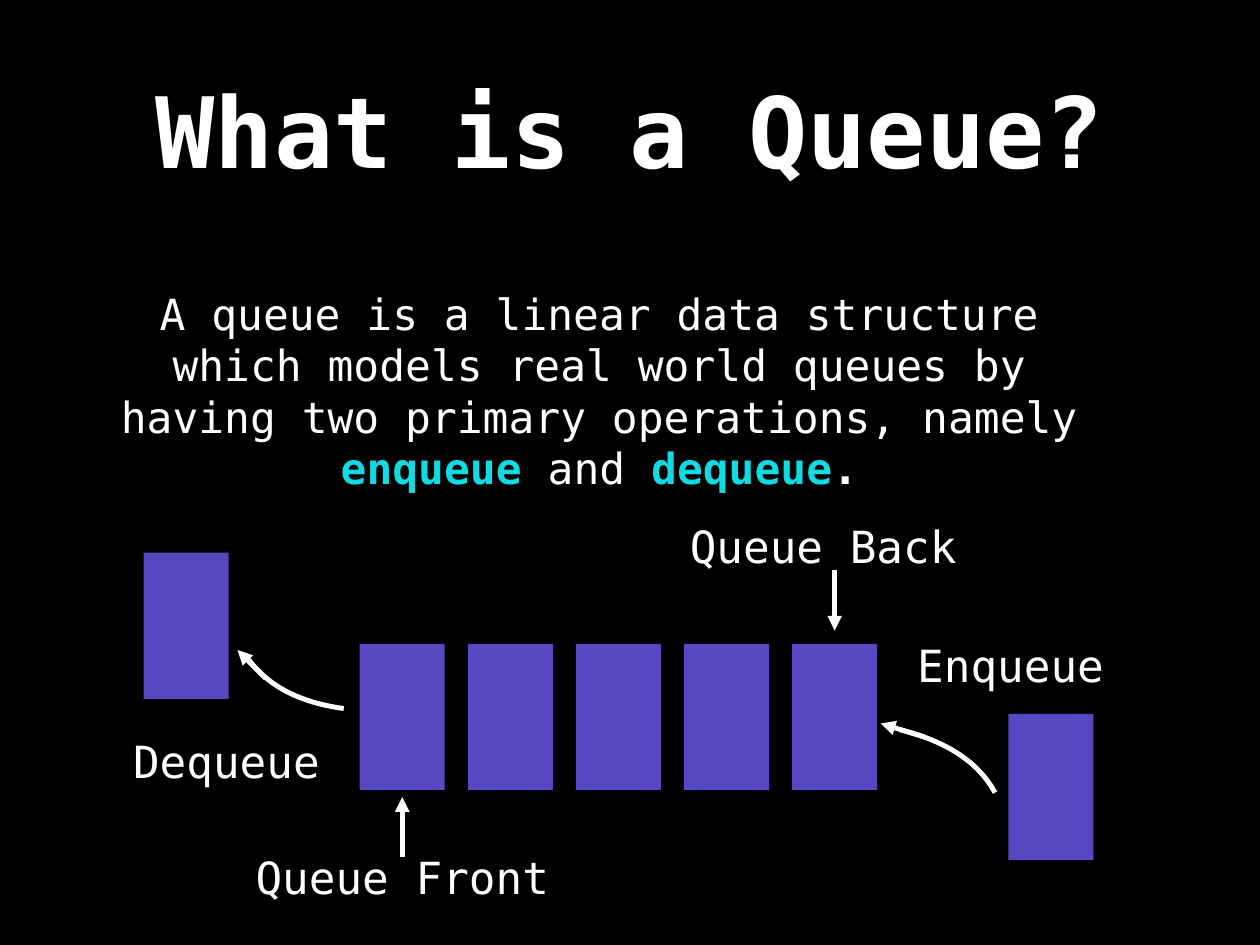
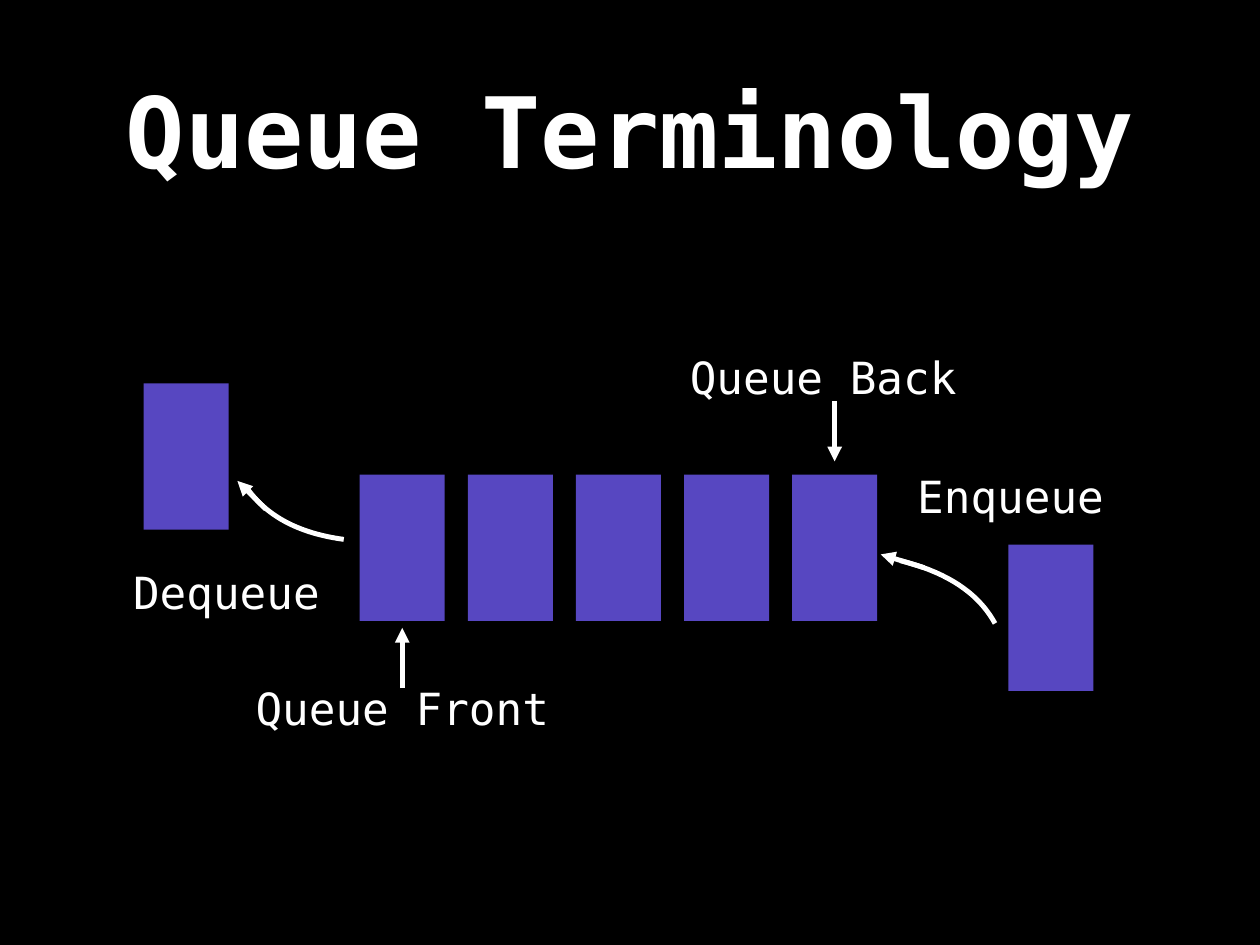
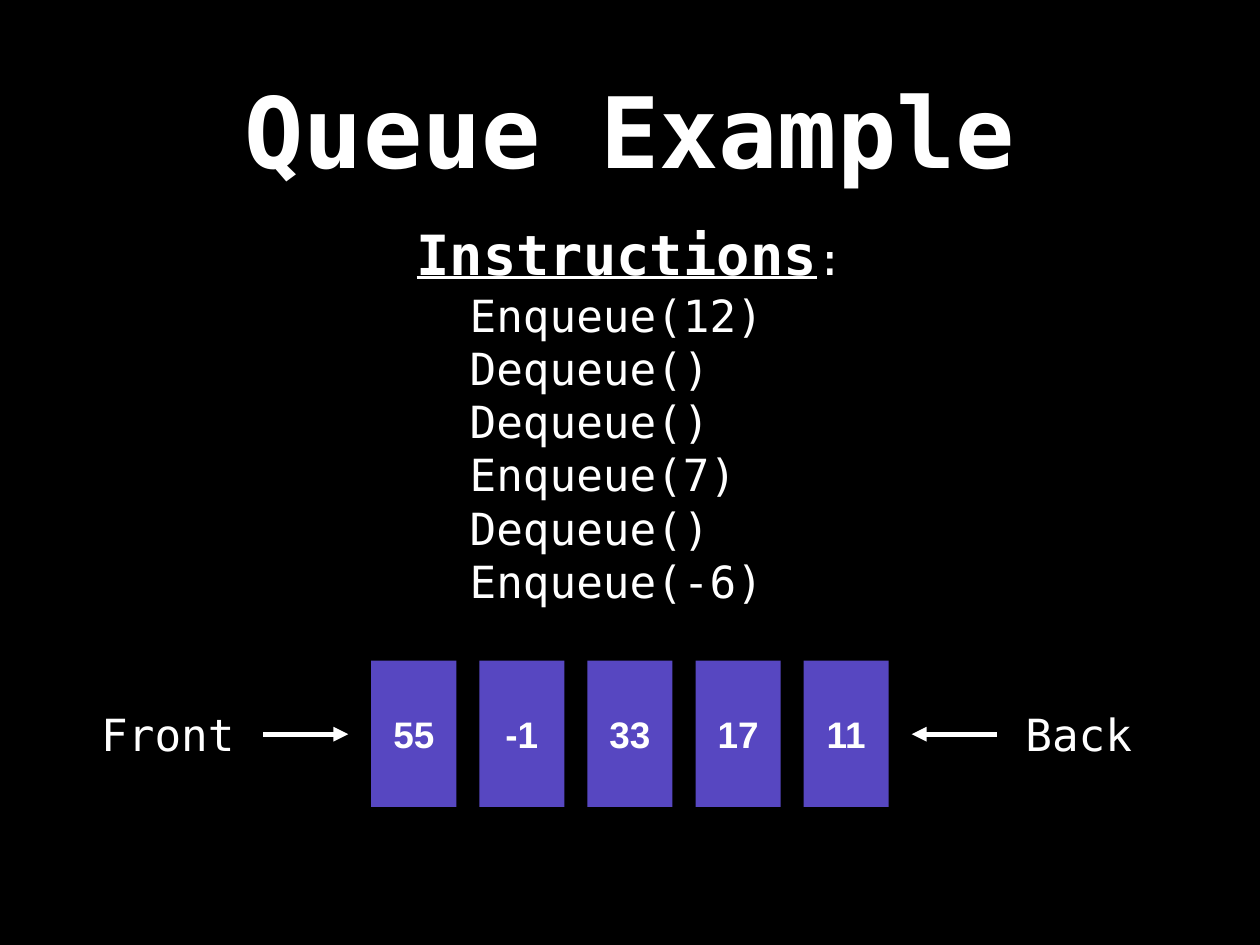
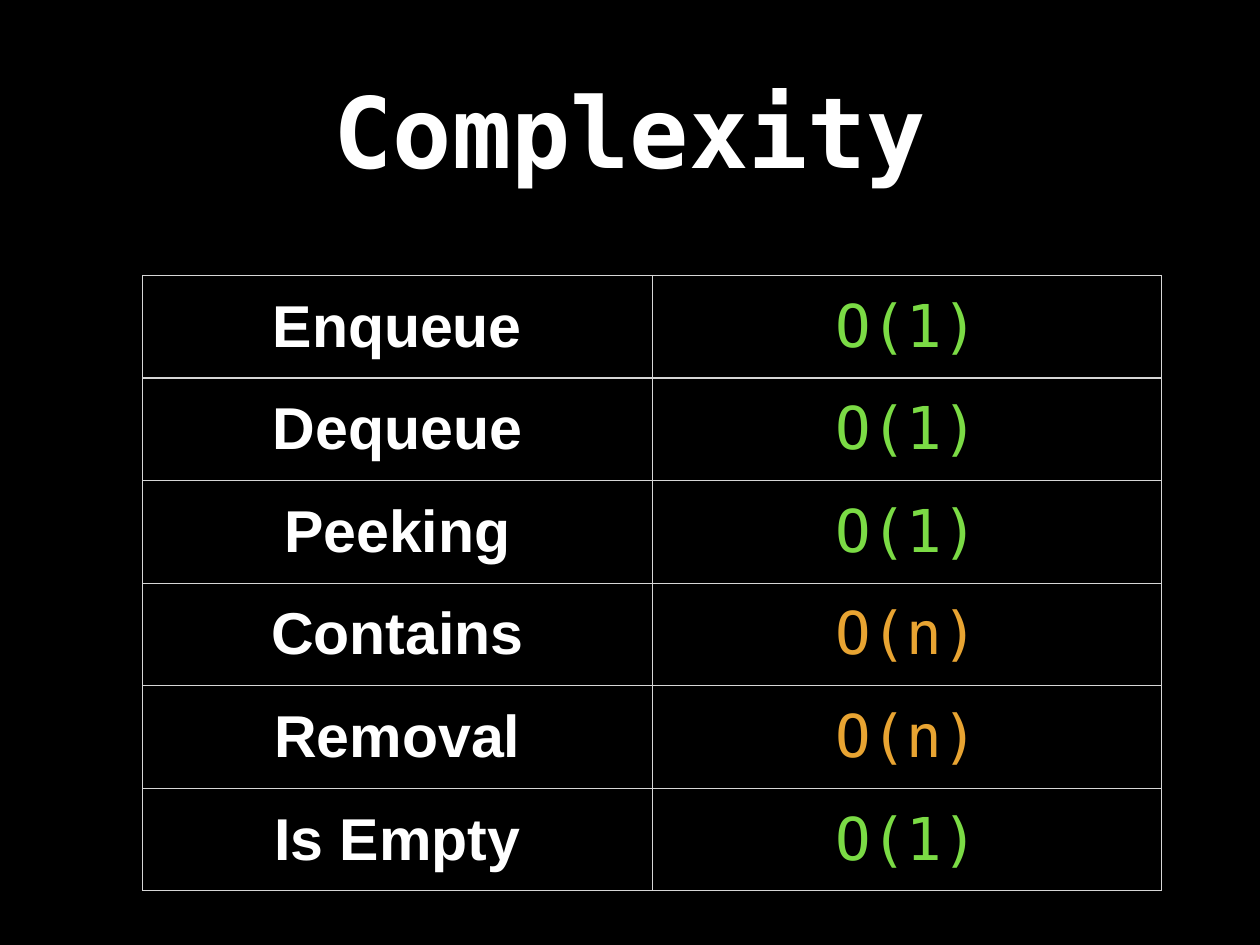
"""Build four slides that explain the queue data structure."""
import dataclasses

import lxml.etree
import pptx
import pptx.dml.color
import pptx.enum.shapes
import pptx.enum.text
import pptx.oxml.ns
import pptx.util

Inches = pptx.util.Inches
Pt = pptx.util.Pt
Anchor = pptx.enum.text.MSO_ANCHOR
Align = pptx.enum.text.PP_ALIGN
Fit = pptx.enum.text.MSO_AUTO_SIZE
MONO = "DejaVu Sans Mono"
SANS = "Arial"


@dataclasses.dataclass(frozen=True)
class Theme:
    """Colours, type sizes and measures that the slides share."""
    back: str = "000000"
    text: str = "FFFFFF"
    box: str = "5747C1"
    term: str = "11DBE2"
    fast: str = "7BDB45"
    slow: str = "E8A432"
    rule: str = "D6D6D6"
    title: float = 80
    cell: float = 48
    head: float = 45
    label: float = 36
    body: float = 34.9
    value: float = 30
    line: float = 4
    inset: float = 0.06
    wide: float = 0.96
    high: float = 1.65
    step: float = 1.22


THEME = Theme()


def color(code):
    """Turn a hex code into a colour."""
    return pptx.dml.color.RGBColor.from_string(code)


def look(size, name=MONO, tint=THEME.text, **more):
    """Return the format values of a run."""
    return {"name": name, "size": Pt(size), "tint": tint, "bold": False, **more}


def add(parent, tag, **attrs):
    """Append a drawing element to its parent."""
    return lxml.etree.SubElement(parent, pptx.oxml.ns.qn(tag), attrs)


def place(shape, left, top, width, height):
    """Move and size a shape in inches."""
    spots = {"left": left, "top": top, "width": width, "height": height}
    for name, value in spots.items():
        setattr(shape, name, Inches(value))


def write(frame, lines, align=Align.CENTER, wrap=True):
    """Fill a text frame with lines of (text, look) runs."""
    sides = ("margin_left", "margin_top", "margin_right", "margin_bottom")
    values = {side: Inches(THEME.inset) for side in sides}
    values |= {"word_wrap": wrap, "auto_size": Fit.NONE,
               "vertical_anchor": Anchor.MIDDLE}
    for name, value in values.items():
        setattr(frame, name, value)
    fill(frame, lines, align)


def fill(frame, lines, align=Align.CENTER):
    """Set the paragraphs of a text frame."""
    for index, runs in enumerate(lines):
        para = frame.add_paragraph() if index else frame.paragraphs[0]
        para.alignment = align
        para.space_before = Pt(0)
        props = para._p.get_or_add_pPr()
        props.set("marL", "0")
        props.set("indent", "0")
        add(props, "a:buNone")
        for text, style in runs:
            run = para.add_run()
            run.text = text
            for name, value in style.items():
                if name == "tint":
                    run.font.color.rgb = color(value)
                else:
                    setattr(run.font, name, value)


def start(deck, title, layout=5):
    """Add a slide with its title."""
    slide = deck.slides.add_slide(deck.slide_layouts[layout])
    place(slide.shapes.title, 1.04, 0.28, 12.14, 2.36)
    write(slide.shapes.title.text_frame,
          [[(title, look(THEME.title, bold=True))]])
    return slide


def body(slide, spot, lines, **more):
    """Move and fill the body placeholder."""
    shape = slide.placeholders[1]
    place(shape, *spot)
    write(shape.text_frame, lines, **more)


def label(slide, text, *spot):
    """Add a one-line caption."""
    shape = slide.shapes.add_textbox(*map(Inches, spot))
    write(shape.text_frame, [[(text, look(THEME.label))]], wrap=False)


def box(slide, left, top, text=""):
    """Add one queue item."""
    kind = pptx.enum.shapes.MSO_SHAPE.RECTANGLE
    spot = (left, top, THEME.wide, THEME.high)
    shape = slide.shapes.add_shape(kind, *map(Inches, spot))
    shape.shadow.inherit = False
    shape.fill.solid()
    shape.fill.fore_color.rgb = color(THEME.box)
    shape.line.fill.background()
    if text:
        write(shape.text_frame,
              [[(text, look(THEME.value, SANS, bold=True))]])


def row(slide, left, top, items):
    """Add an even row of queue items."""
    for index, text in enumerate(items):
        box(slide, left + index * THEME.step, top, text)


def stroke(shape):
    """Draw the outline of a shape in the shared line style."""
    shape.line.color.rgb = color(THEME.text)
    shape.line.width = Pt(THEME.line)


def arrow(slide, *ends):
    """Add a straight arrow between two points."""
    kind = pptx.enum.shapes.MSO_CONNECTOR.STRAIGHT
    shape = slide.shapes.add_connector(kind, *map(Inches, ends))
    stroke(shape)
    add(shape.line._get_or_add_ln(), "a:tailEnd", type="triangle")
    add(shape._element.spPr, "a:effectLst")


def curve(slide, knots, top, steps=24):
    """Add an open cubic curve through short segments."""
    dots = []
    for index in range(steps + 1):
        t = index / steps
        parts = ((1 - t) ** 3, 3 * t * (1 - t) ** 2,
                 3 * t ** 2 * (1 - t), t ** 3)
        x = sum(part * knot[0] for part, knot in zip(parts, knots))
        y = sum(part * knot[1] for part, knot in zip(parts, knots))
        dots.append((Inches(x), Inches(top + y)))
    pen = slide.shapes.build_freeform(*dots[0])
    pen.add_line_segments(dots[1:], close=False)
    shape = pen.convert_to_shape()
    shape.shadow.inherit = False
    shape.fill.background()
    stroke(shape)


def queue(slide, top):
    """Draw the queue diagram with its row of items at top."""
    row(slide, 4.06, top, [""] * 5)
    box(slide, 1.62, top - 1.03)
    box(slide, 11.38, top + 0.79)
    for text, left, drop, width in (
            ("Queue Front", 2.82, 2.29, 3.44),
            ("Queue Back", 7.72, -1.45, 3.14),
            ("Dequeue", 1.44, 0.98, 2.23),
            ("Enqueue", 10.29, -0.1, 2.23)):
        label(slide, text, left, top + drop, width, 0.68)
    for knots in (
            ((3.88, 0.73), (3.36, 0.66), (3, 0.46), (2.78, 0.14)),
            ((10.16, 0.97), (10.68, 1.1), (11.04, 1.33), (11.23, 1.68))):
        curve(slide, knots, top)
    for x1, y1, x2, y2 in (
            (4.54, 2.41, 4.54, 1.73), (9.42, -0.83, 9.42, -0.15),
            (3, 0.39, 2.68, 0.07), (10.43, 1.05, 9.94, 0.9)):
        arrow(slide, x1, top + y1, x2, top + y2)


def grid(slide, rows, left, top, width, height):
    """Add a ruled table of rows of (text, look) cells."""
    spot = map(Inches, (left, top, width, height))
    table = slide.shapes.add_table(len(rows), len(rows[0]), *spot).table
    table.first_row = table.horz_banding = False
    for line, runs in zip(table.rows, rows):
        for cell, run in zip(line.cells, runs):
            props = cell._tc.get_or_add_tcPr()
            for side in "LRTB":
                edge = add(props, "a:ln" + side, w=str(Pt(1)))
                add(add(edge, "a:solidFill"), "a:srgbClr", val=THEME.rule)
            cell.fill.background()
            cell.vertical_anchor = Anchor.MIDDLE
            for name in ("left", "top", "right", "bottom"):
                setattr(cell, "margin_" + name, Inches(THEME.inset))
            fill(cell.text_frame, [[run]])


def intro(deck):
    """Define the queue."""
    slide = start(deck, "What is a Queue?", 1)
    plain = look(THEME.body)
    strong = look(THEME.body, bold=True)
    term = look(THEME.body, tint=THEME.term, bold=True)
    body(slide, (1.04, 3.23, 11.45, 2.36), [[
        ("A queue is a linear data structure which models real world queues "
         "by having two primary operations, namely ", plain),
        ("enqueue", term), (" and ", plain), ("dequeue", term),
        (".", strong)]])
    queue(slide, 7.27)


def terms(deck):
    """Name the parts of the queue."""
    queue(start(deck, "Queue Terminology"), 5.36)


def sample(deck):
    """List the instructions for a filled queue."""
    slide = start(deck, "Queue Example", 1)
    plain = look(THEME.label)
    calls = ("Enqueue(12)", "Dequeue()", "Dequeue()",
             "Enqueue(7)", "Dequeue()", "Enqueue(-6)")
    body(slide, (5.24, 3.29, 3.74, 3.53), [[(call, plain)] for call in calls],
         align=Align.LEFT, wrap=False)
    head = slide.shapes.add_textbox(*map(Inches, (0.36, 2.43, 13.5, 0.85)))
    write(head.text_frame, [[
        ("Instructions", look(THEME.head, bold=True, underline=True)),
        (":", plain)]])
    row(slide, 4.19, 7.46, ("55", "-1", "33", "17", "11"))
    label(slide, "Front", 1.08, 7.95, 1.63, 0.68)
    label(slide, "Back", 11.51, 7.95, 1.33, 0.68)
    arrow(slide, 2.97, 8.29, 3.93, 8.29)
    arrow(slide, 11.25, 8.29, 10.29, 8.29)


def costs(deck):
    """Tabulate the cost of each operation."""
    name = look(THEME.cell, SANS, bold=True)
    fast = ("O(1)", look(THEME.cell, tint=THEME.fast))
    slow = ("O(n)", look(THEME.cell, tint=THEME.slow))
    costs = {"Enqueue": fast, "Dequeue": fast, "Peeking": fast,
             "Contains": slow, "Removal": slow, "Is Empty": fast}
    rows = [((text, name), cost) for text, cost in costs.items()]
    grid(start(deck, "Complexity"), rows, 1.61, 3.11, 11.5, 6.95)


def main():
    """Build and save the deck."""
    deck = pptx.Presentation()
    deck.slide_width = Inches(14.22)
    deck.slide_height = Inches(10.67)
    back = deck.slide_master.background.fill
    back.solid()
    back.fore_color.rgb = color(THEME.back)
    for build in (intro, terms, sample, costs):
        build(deck)
    deck.save("out.pptx")


main()
